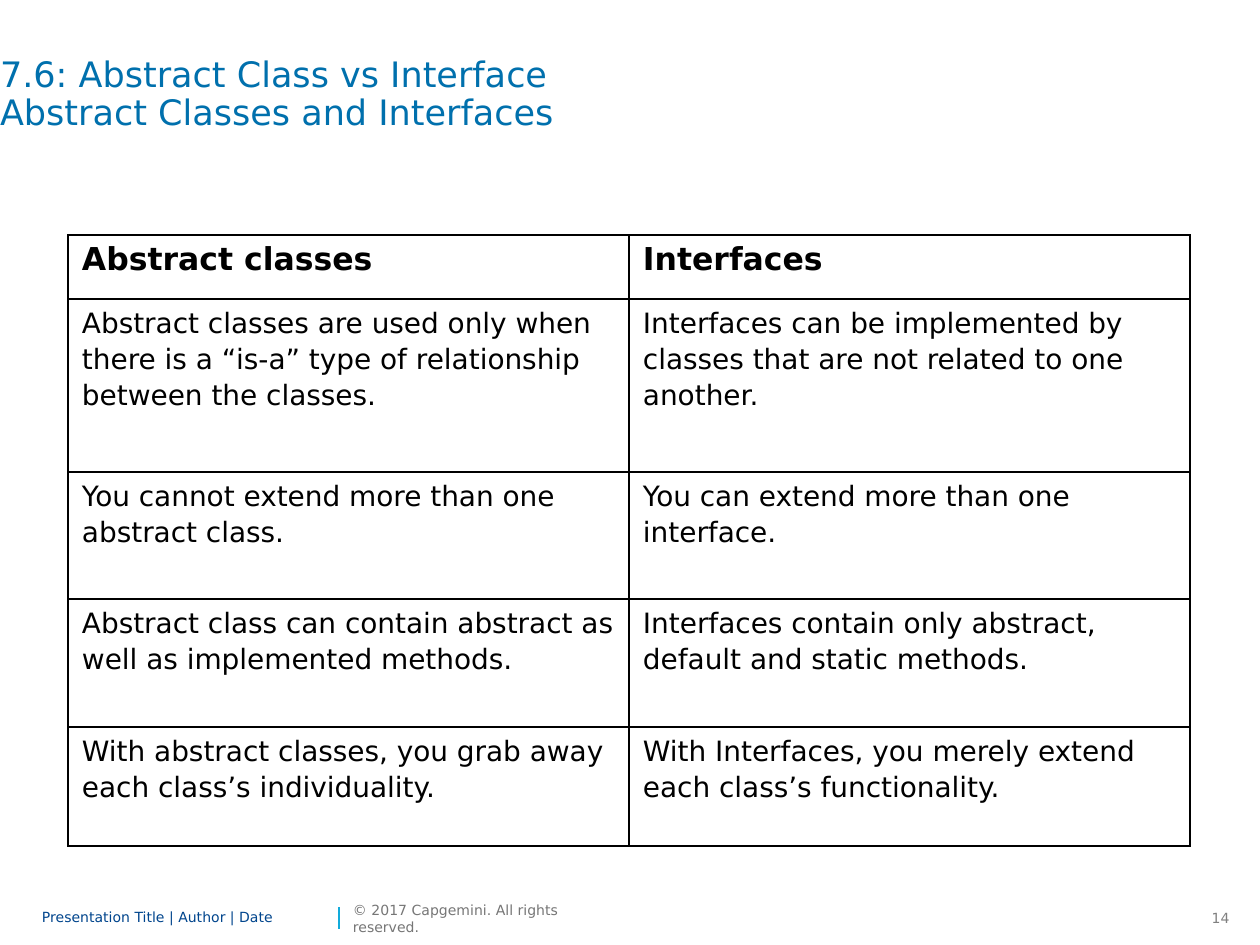
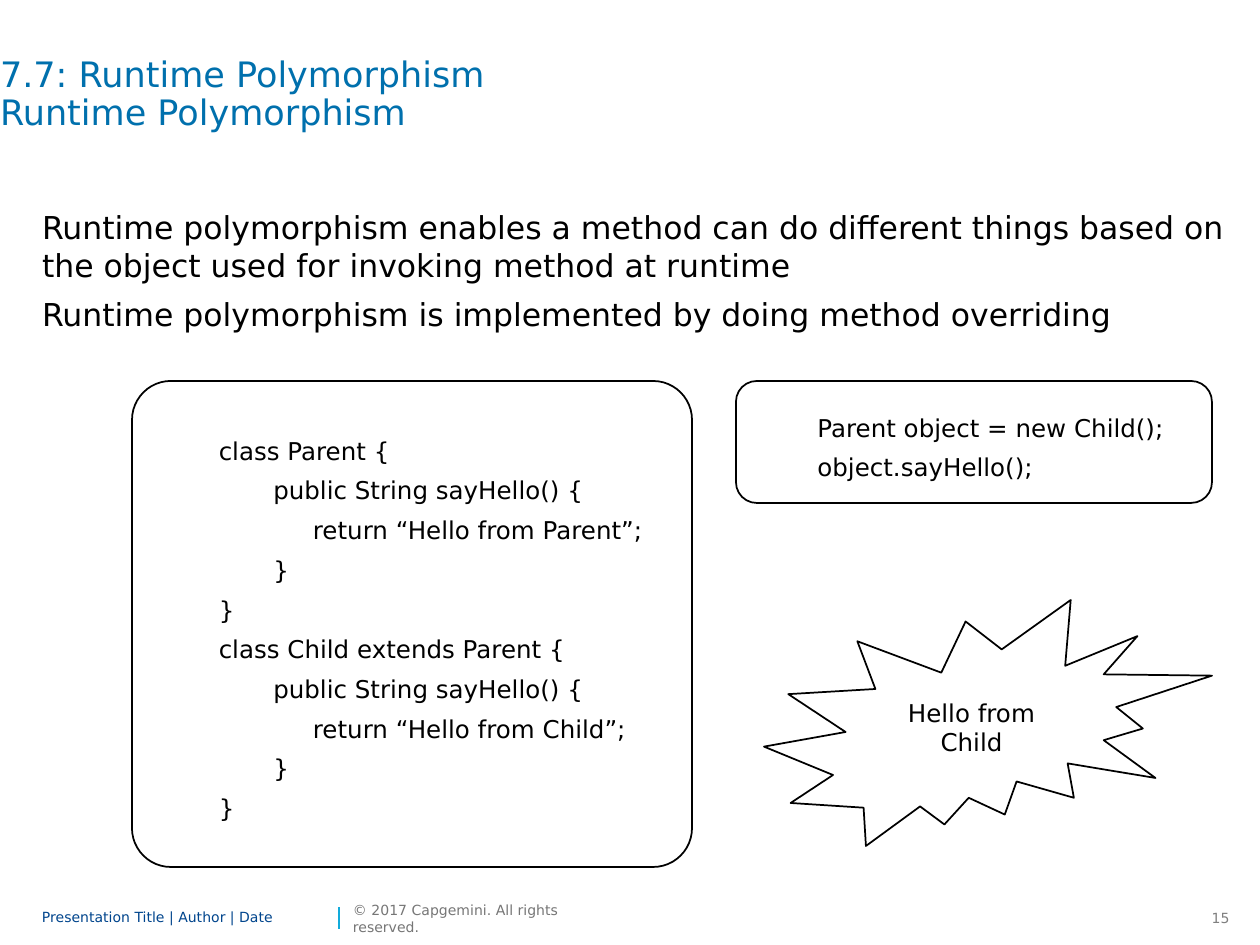
from lxml.etree import SubElement
from pptx import Presentation
from pptx.dml.color import RGBColor
from pptx.enum.shapes import MSO_CONNECTOR as Connector, MSO_SHAPE as Preset
from pptx.enum.text import MSO_ANCHOR as Anchor, PP_ALIGN as Align
from pptx.oxml.ns import qn
from pptx.util import Pt

PX = 914400 / 126
FONT = "DejaVu Sans"
COLORS = {
    "title": "0070AD",
    "text": "000000",
    "paper": "FFFFFF",
    "divider": "12ABDB",
    "deck": "00458D",
    "rights": "767676",
    "number": "808080",
}
FOOTER_TOP, FOOTER_HEIGHT = 903, 30
CODE_INDENT = 63

COMPARISON = [
    ("Abstract classes", "Interfaces"),
    ("Abstract classes are used only when there is a “is-a” type of relationship between the classes.",
     "Interfaces can be implemented by classes that are not related to one another."),
    ("You cannot extend more than one abstract class.",
     "You can extend more than one interface."),
    ("Abstract class can contain abstract as well as implemented methods.",
     "Interfaces contain only abstract, default and static methods."),
    ("With abstract classes, you grab away each class’s individuality.",
     "With Interfaces, you merely extend each class’s functionality."),
]
ROW_HEIGHTS = [64, 173, 127, 128, 119]
COLUMN_WIDTH = 561


def emu(px):
    return round(px * PX)


def box(*lengths):
    return [emu(length) for length in lengths]


def color(name):
    return RGBColor.from_string(COLORS[name])


def write(frame, paragraphs, size, tint="text", bold=False, align=Align.LEFT,
          spacing=None, after=None, indent=0):
    """Fill a text frame; a newline inside a paragraph becomes a line break."""
    for index, content in enumerate(paragraphs):
        paragraph = frame.paragraphs[0] if index == 0 else frame.add_paragraph()
        paragraph.alignment = align
        if spacing:
            paragraph.line_spacing = spacing
        if after:
            paragraph.space_after = after
        if indent:
            properties = paragraph._p.get_or_add_pPr()
            properties.set("marL", str(emu(indent)))
            properties.set("indent", "0")
        for number, line in enumerate(content.split("\n")):
            if number:
                paragraph.add_line_break()
            run = paragraph.add_run()
            run.text = line
            run.font.name = FONT
            run.font.size = Pt(size)
            run.font.bold = bold
            run.font.color.rgb = color(tint)


def add_text(slide, place, paragraphs, size, tint="text", anchor=Anchor.TOP,
             wrap=True, inset=True, **style):
    frame = slide.shapes.add_textbox(*box(*place)).text_frame
    frame.word_wrap = wrap
    frame.vertical_anchor = anchor
    if not inset:
        frame.margin_left = frame.margin_top = frame.margin_right = frame.margin_bottom = 0
    write(frame, paragraphs, size, tint, **style)


def add_outlined(slide, preset, place, paragraphs, corner=None, **style):
    shape = slide.shapes.add_shape(preset, *box(*place))
    shape.shadow.inherit = False
    shape.fill.solid()
    shape.fill.fore_color.rgb = color("paper")
    shape.line.color.rgb = color("text")
    shape.line.width = Pt(1)
    if corner:
        shape.adjustments[0] = corner
    frame = shape.text_frame
    frame.word_wrap = True
    frame.vertical_anchor = Anchor.MIDDLE
    write(frame, paragraphs, 14, **style)


def add_code(slide, place, paragraphs, corner):
    add_outlined(slide, Preset.ROUNDED_RECTANGLE, place, paragraphs, corner,
                 spacing=1.35, indent=CODE_INDENT)


def add_footer(slide, number):
    add_text(slide, (1193, FOOTER_TOP, 49, FOOTER_HEIGHT), [str(number)], 8, "number",
             wrap=False, align=Align.RIGHT)
    divider = slide.shapes.add_connector(Connector.STRAIGHT, *box(339, 929, 339, 907))
    divider.line.color.rgb = color("divider")
    divider.line.width = Pt(1)
    SubElement(divider._element.spPr, qn("a:effectLst"))
    add_text(slide, (42, FOOTER_TOP, 292, FOOTER_HEIGHT),
             ["Presentation Title | Author | Date"], 8, "deck",
             anchor=Anchor.MIDDLE, inset=False, spacing=0.85)
    add_text(slide, (353, FOOTER_TOP, 229, FOOTER_HEIGHT),
             ["© 2017 Capgemini. All rights reserved."], 8, "rights",
             anchor=Anchor.MIDDLE, wrap=False, inset=False)


def add_slide(deck, number, title):
    slide = deck.slides.add_slide(deck.slide_layouts[6])
    add_footer(slide, number)
    add_text(slide, (0, 57, 1176, 118), [title], 20, "title", inset=False, spacing=0.9)
    return slide


def draw_borders(cell):
    properties = cell._tc.get_or_add_tcPr()
    for side in ("lnL", "lnR", "lnT", "lnB"):
        border = SubElement(properties, qn(f"a:{side}"), w=str(Pt(1)))
        fill = SubElement(border, qn("a:solidFill"))
        SubElement(fill, qn("a:srgbClr"), val=COLORS["text"])


def add_comparison(slide, left, top):
    columns = len(COMPARISON[0])
    place = box(left, top, columns * COLUMN_WIDTH, sum(ROW_HEIGHTS))
    table = slide.shapes.add_table(len(COMPARISON), columns, *place).table
    table.first_row = table.horz_banding = False
    for column in table.columns:
        column.width = emu(COLUMN_WIDTH)
    for index, (entries, height) in enumerate(zip(COMPARISON, ROW_HEIGHTS)):
        table.rows[index].height = emu(height)
        heading = index == 0
        for cell, entry in zip(table.rows[index].cells, entries):
            draw_borders(cell)
            cell.fill.background()
            cell.margin_left = cell.margin_right = emu(14)
            cell.margin_top = cell.margin_bottom = emu(6)
            write(cell.text_frame, [entry], 18 if heading else 16, bold=heading,
                  spacing=None if heading else 1.1)


def class_code(declaration, greeter):
    return [
        f"class {declaration} {{\n       public String sayHello() {{\n"
        f"\t    return “Hello from {greeter}”;",
        "       }",
        "}",
    ]


def main():
    deck = Presentation()
    deck.slide_width, deck.slide_height = box(1260, 945)

    versus = add_slide(deck, 14, "7.6: Abstract Class vs Interface\nAbstract Classes and Interfaces")
    add_comparison(versus, 68, 235)

    runtime = add_slide(deck, 15, "7.7: Runtime Polymorphism\nRuntime Polymorphism")
    add_text(runtime, (42, 207, 1218, 640), [
        "Runtime polymorphism enables a method can do different things based on "
        "the object used for invoking method at runtime",
        "Runtime polymorphism is implemented by doing method overriding",
    ], 18, inset=False, spacing=Pt(22), after=Pt(6))
    add_code(runtime, (132, 381, 560, 486),
             class_code("Parent", "Parent") + class_code("Child extends Parent", "Child"), 0.08)
    add_code(runtime, (736, 381, 476, 122),
             ["Parent object = new Child();", "object.sayHello();"], 0.17)
    add_outlined(runtime, Preset.EXPLOSION2, (764, 600, 448, 246), ["Hello from Child"],
                 align=Align.CENTER)

    deck.save("out.pptx")


if __name__ == "__main__":
    main()
